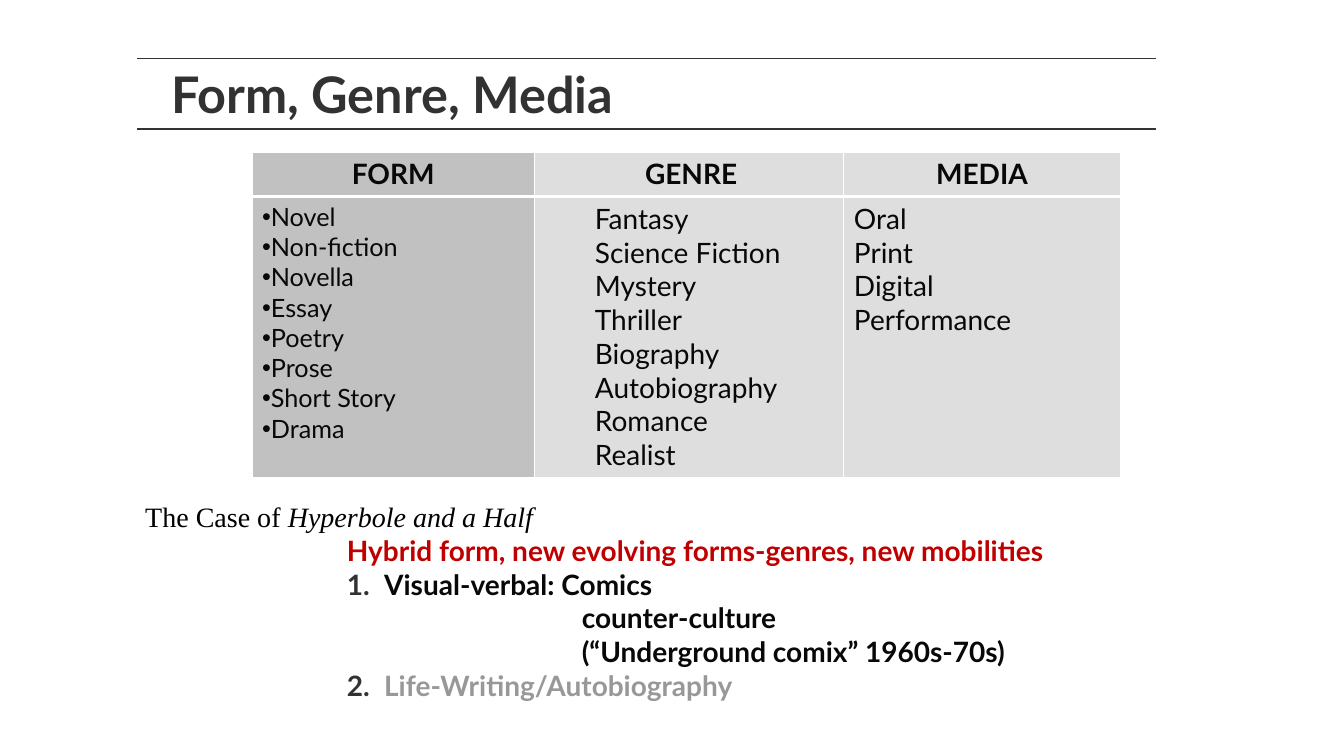
"""Builds the Form, Genre, Media slide."""
from dataclasses import dataclass

from lxml.etree import SubElement as Sub
from pptx import Presentation
from pptx.dml.color import RGBColor as Rgb
from pptx.enum.text import MSO_ANCHOR as Anchor, MSO_AUTO_SIZE as Auto, PP_ALIGN as Align
from pptx.oxml.ns import qn
from pptx.util import Inches, Pt


@dataclass(frozen=True)
class Theme:
    sans: str = "Lato"
    serif: str = "Times New Roman"
    dot: str = "Arial"
    ink: str = "080808"
    dark: str = "323232"
    rule: str = "333333"
    red: str = "C00000"
    gray: str = "989898"
    black: str = "000000"
    white: str = "FFFFFF"
    deep: str = "C1C1C1"
    pale: str = "DEDEDE"
    title: int = 36
    body: int = 20
    small: int = 18


T = Theme()
TITLE = "Form, Genre, Media"
COLS = [
    dict(head="FORM", width=2.8, fill=T.deep, pad=0, fmt=dict(size=T.small, mark="•"),
         items=["Novel", "Non-fiction", "Novella", "Essay", "Poetry", "Prose",
                "Short Story", "Drama"]),
    dict(head="GENRE", width=3.07, fill=T.pale, pad=0.04, fmt=dict(left=0.5),
         items=["Fantasy", "Science Fiction", "Mystery", "Thriller", "Biography",
                "Autobiography", "Romance", "Realist"]),
    dict(head="MEDIA", width=2.74, fill=T.pale, pad=0, fmt={},
         items=["Oral", "Print", "Digital", "Performance"]),
]
ITEM = dict(bold=True, left=2.37, hang=0.37)
SUB = dict(bold=True, left=4.33)
NOTES = [
    (["The Case of ", ("Hyperbole and a Half", True)], dict(font=T.serif, color=T.black)),
    (["Hybrid form, new evolving forms-genres, new mobilities"],
     dict(bold=True, color=T.red, left=2)),
    (["Visual-verbal: Comics"], dict(ITEM, num=1)),
    (["counter-culture"], SUB),
    (["(“Underground comix” 1960s-70s)"], SUB),
    (["Life-Writing/Autobiography"], dict(ITEM, num=2, color=T.gray)),
]
HEAD = (1.36, 0.58)
BAND = (10.11, 0.7)
GRID = (2.5, 1.51)
ROWS = (0.44, 2.79)
BODY = (1.34, 4.91, 10.65, 2.46)


def write(frame, parts, *, first=False, font=T.sans, size=T.body, color=T.ink,
          bold=False, align=Align.LEFT, left=0, hang=0, mark=None, num=None):
    para = frame.paragraphs[0] if first else frame.add_paragraph()
    para.alignment = align
    para.space_before = Pt(0)
    props = para._p.get_or_add_pPr()
    props.set("marL", str(Inches(left)))
    props.set("indent", str(-Inches(hang)))
    if num:
        tint = Sub(props, qn("a:buClr"))
        Sub(tint, qn("a:srgbClr"), val=T.dark)
        Sub(props, qn("a:buFont"), typeface=font)
        Sub(props, qn("a:buAutoNum"), type="arabicPeriod", startAt=str(num))
    elif mark:
        Sub(props, qn("a:buFont"), typeface=T.dot)
        Sub(props, qn("a:buChar"), char=mark)
    else:
        Sub(props, qn("a:buNone"))
    for part in parts:
        text, slant = part if isinstance(part, tuple) else (part, False)
        run = para.add_run()
        run.text = text
        face = run.font
        face.name, face.size = font, Pt(size)
        face.bold, face.italic = bold, slant
        face.color.rgb = Rgb.from_string(color)


def edge(cell, color, **sides):
    props = cell._tc.get_or_add_tcPr()
    for side in "LRTB":
        width = sides.get(side, 0)
        line = Sub(props, qn(f"a:ln{side}"), w=str(Pt(width)))
        if width:
            solid = Sub(line, qn("a:solidFill"))
            Sub(solid, qn("a:srgbClr"), val=color)
        else:
            Sub(line, qn("a:noFill"))


def paint(cell, fill, low):
    edge(cell, T.white, L=1, R=1, T=1, B=low)
    cell.fill.solid()
    cell.fill.fore_color.rgb = Rgb.from_string(fill)


def add_table(slide, spot, widths, heights):
    size = sum(widths), sum(heights)
    table = slide.shapes.add_table(
        len(heights), len(widths), *map(Inches, spot + size)).table
    table.horz_banding = False
    for row, height in zip(table.rows, heights):
        row.height = Inches(height)
    for col, width in zip(table.columns, widths):
        col.width = Inches(width)
    return table


def add_head(slide):
    width, height = BAND
    cell = add_table(slide, HEAD, [width], [height]).cell(0, 0)
    edge(cell, T.rule, T=1, B=1)
    cell.fill.background()
    cell.vertical_anchor = Anchor.MIDDLE
    write(cell.text_frame, [TITLE], first=True, size=T.title, color=T.dark,
          bold=True, left=0.24)


def add_grid(slide):
    table = add_table(slide, GRID, [col["width"] for col in COLS], ROWS)
    for i, col in enumerate(COLS):
        head, cell = table.cell(0, i), table.cell(1, i)
        paint(head, col["fill"], 3)
        paint(cell, col["fill"], 1)
        write(head.text_frame, [col["head"]], first=True, bold=True,
              align=Align.CENTER, left=col["pad"])
        for j, item in enumerate(col["items"]):
            write(cell.text_frame, [item], first=j == 0, **col["fmt"])


def add_notes(slide):
    shape = slide.placeholders[1]
    shape.left, shape.top, shape.width, shape.height = map(Inches, BODY)
    frame = shape.text_frame
    frame.word_wrap = True
    frame.auto_size = Auto.NONE
    frame.vertical_anchor = Anchor.TOP
    for i, (parts, fmt) in enumerate(NOTES):
        write(frame, parts, first=i == 0, **fmt)


def main():
    deck = Presentation()
    deck.slide_width, deck.slide_height = Inches(13.33), Inches(7.5)
    slide = deck.slides.add_slide(deck.slide_layouts[1])
    title = slide.shapes.title._element
    title.getparent().remove(title)
    add_notes(slide)
    add_head(slide)
    add_grid(slide)
    deck.save("out.pptx")


if __name__ == "__main__":
    main()
